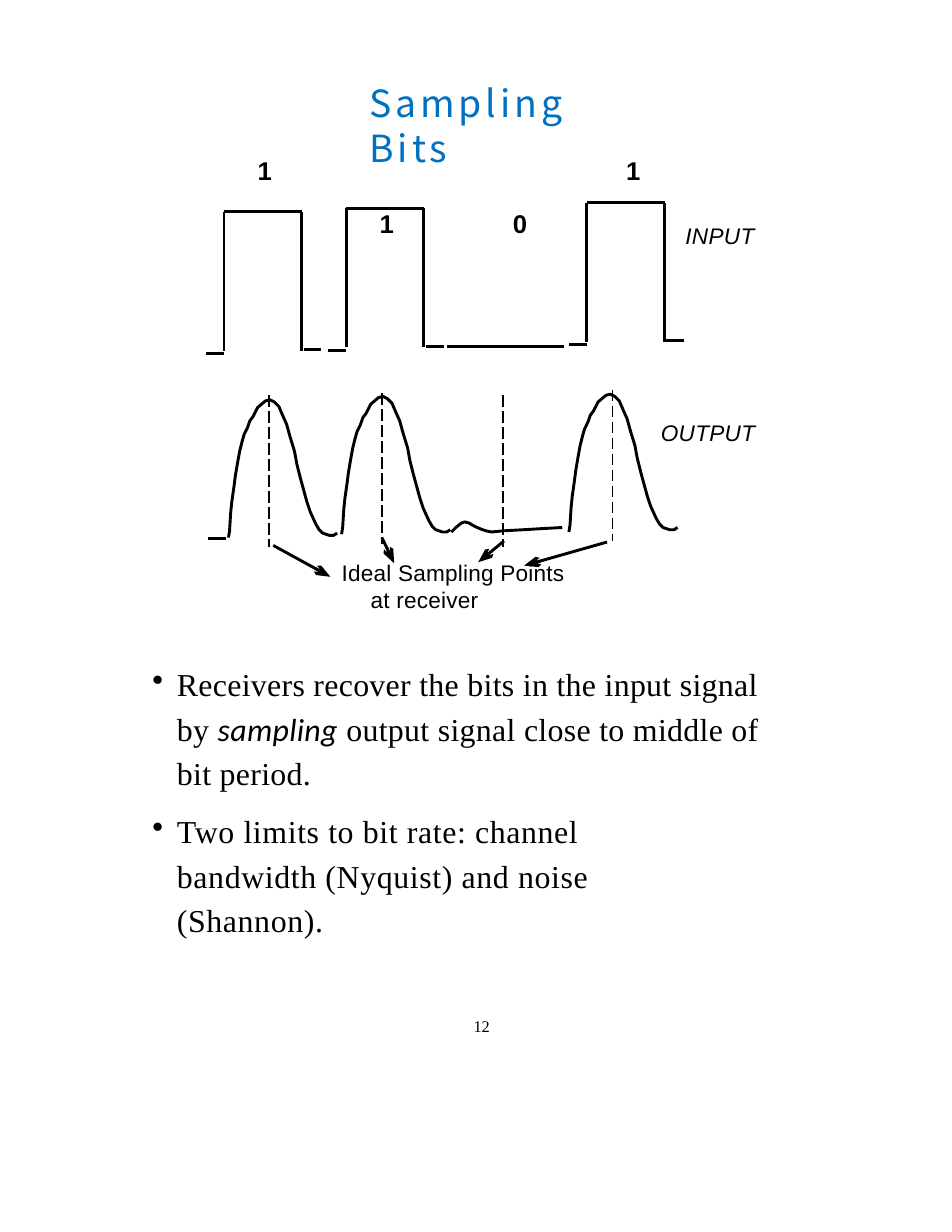
from lxml import etree
from pptx import Presentation
from pptx.dml.color import RGBColor
from pptx.enum.dml import MSO_LINE
from pptx.enum.shapes import MSO_CONNECTOR
from pptx.enum.text import MSO_ANCHOR, MSO_AUTO_SIZE, PP_ALIGN
from pptx.oxml.ns import qn
from pptx.util import Pt

PX = 9144
BLACK = RGBColor(0x00, 0x00, 0x00)
BLUE = RGBColor(0x00, 0x70, 0xC0)
STRAIGHT = MSO_CONNECTOR.STRAIGHT
LONG_DASH = MSO_LINE.LONG_DASH
TOP = MSO_ANCHOR.TOP
LEFT = PP_ALIGN.LEFT
NO_FIT = MSO_AUTO_SIZE.NONE

PULSES = [(200, 189), (309, 186), (524, 181)]
RESPONSES = [(204, 480), (305, 477), (508, 475)]
RESPONSE_CURVE = [
    (0, 0), (1, -6), (2, -22), (3, -32), (5, -46), (6, -54), (8, -66), (10, -77),
    (12, -85), (14, -92), (17, -98), (19, -104), (22, -108), (26, -116), (33, -122),
    (37, -123), (41, -121), (45, -117), (48, -110), (52, -101), (55, -90), (59, -77),
    (61, -66), (64, -54), (67, -43), (70, -32), (73, -23), (78, -12), (81, -7),
    (84, -4), (90, -2), (94, -2), (97, -4),
]
RIPPLE = [
    (403, 475), (407, 471), (412, 467), (415, 466), (419, 467), (422, 469), (426, 471),
    (431, 473), (434, 474), (439, 475), (449, 474), (467, 473), (484, 472), (502, 471),
]
SAMPLE_TIMES = [(240, 353), (341, 351), (449, 353), (547, 348)]
ARROWS = [
    (244, 487, 295, 515), (341, 480, 352, 503),
    (450, 483, 427, 502), (542, 484, 468, 505),
]
BITS = [("1", 230, 138), ("1", 339, 186), ("0", 458, 186), ("1", 559, 138)]
SIGNALS = [("INPUT", 612, 198), ("OUTPUT", 590, 374)]
BULLETS = [
    (["Receivers recover the bits in the input signal by ", "sampling",
      " output signal close to middle of bit period."], 0.2, 0, 0),
    (["Two limits to bit rate: channel bandwidth (Nyquist) and noise (Shannon)."],
     0.4, 8.8, 95),
]


class Sketch:
    """Draws signal diagrams and text on one slide in a shared style."""

    def __init__(self, slide):
        self.slide = slide
        self.shapes = slide.shapes
        self.stroke = Pt(1.86)

    def style(self, span, font, size, spacing=0.0, color=BLACK, bold=False, italic=False):
        span.font.name = font
        span.font.size = Pt(size)
        span.font.color.rgb = color
        span.font.bold = bold
        span.font.italic = italic
        span._r.get_or_add_rPr().set("spc", str(round(spacing * 100)))

    def frame(self, box):
        frame = box.text_frame
        frame.margin_left = frame.margin_right = frame.margin_top = frame.margin_bottom = 0
        frame.word_wrap = True
        frame.auto_size = NO_FIT
        frame.vertical_anchor = TOP
        return frame

    def box(self, left, top, width, height):
        return self.frame(self.shapes.add_textbox(left * PX, top * PX, width * PX, height * PX))

    def title(self, text, left, top, width, height):
        title = self.shapes.title
        title.left, title.top = left * PX, top * PX
        title.width, title.height = width * PX, height * PX
        frame = self.frame(title)
        frame.text = text
        para = frame.paragraphs[0]
        para.alignment = LEFT
        self.style(para.runs[0], "Noto Sans CJK TC", 24, 2.5, BLUE)

    def label(self, text, left, top, width, height, font, size, hanging=0, **look):
        frame = self.box(left, top, width, height)
        para = frame.paragraphs[0]
        para.text = text
        if hanging:
            properties = para._p.get_or_add_pPr()
            properties.set("marL", str(hanging * PX))
            properties.set("indent", str(-hanging * PX))
        for span in para.runs:
            self.style(span, font, size, **look)

    def bullets(self, items, left, top, width, height):
        frame = self.box(left, top, width, height)
        for index, (parts, spacing, before, right_margin) in enumerate(items):
            para = frame.add_paragraph() if index else frame.paragraphs[0]
            properties = para._p.get_or_add_pPr()
            properties.set("marL", str(23 * PX))
            properties.set("marR", str(right_margin * PX))
            properties.set("indent", str(-22 * PX))
            etree.SubElement(properties, qn("a:buChar")).set("char", "•")
            para.line_spacing = Pt(28.6)
            para.space_before = Pt(before)
            for position, text in enumerate(parts):
                span = para.add_run()
                span.text = text
                emphasis = position == 1
                font = "Calibri" if emphasis else "Times New Roman"
                self.style(span, font, 20.5, spacing, italic=emphasis)

    def line(self, x1, y1, x2, y2, dashed=False, arrow=False):
        line = self.shapes.add_connector(STRAIGHT, x1 * PX, y1 * PX, x2 * PX, y2 * PX)
        line.line.color.rgb = BLACK
        line.line.width = Pt(0.93) if dashed else self.stroke
        if dashed:
            line.line.dash_style = LONG_DASH
        properties = line._element.spPr
        if arrow:
            head = etree.SubElement(properties.find(qn("a:ln")), qn("a:tailEnd"))
            head.set("type", "arrow")
            head.set("w", "med")
            head.set("len", "lg")
        etree.SubElement(properties, qn("a:effectLst"))

    def curve(self, points):
        builder = self.shapes.build_freeform(*points[0], scale=PX)
        builder.add_line_segments(points[1:], close=False)
        curve = builder.convert_to_shape()
        curve.shadow.inherit = False
        curve.fill.background()
        curve.line.color.rgb = BLACK
        curve.line.width = self.stroke

    def pulse(self, left, top):
        self.line(left - 16, top + 127, left, top + 127)
        self.line(left, top + 124, left, top)
        self.line(left, top, left + 70, top)
        self.line(left + 69, top + 124, left + 69, top)
        self.line(left + 71, top + 123, left + 87, top + 123)


def main():
    deck = Presentation()
    deck.slide_width, deck.slide_height = 850 * PX, 1100 * PX
    sketch = Sketch(deck.slides.add_slide(deck.slide_layouts[5]))

    sketch.title("Sampling Bits", 330, 72, 244, 90)
    for left, top in PULSES:
        sketch.pulse(left, top)
    sketch.line(399, 309, 504, 309)
    sketch.line(186, 481, 202, 481)
    for left, base in RESPONSES:
        sketch.curve([(left + x, base + y) for x, y in RESPONSE_CURVE])
    sketch.curve(RIPPLE)
    for x, top in SAMPLE_TIMES:
        sketch.line(x, top, x, top + 135, dashed=True)
    for arrow in ARROWS:
        sketch.line(*arrow, arrow=True)

    for text, left, top in BITS:
        sketch.label(text, left, top, 16, 29, "Arial", 16.5, spacing=0.1, bold=True)
    for text, left, top in SIGNALS:
        sketch.label(text, left, top, 95, 26, "Arial", 14.5, spacing=0.2, italic=True)
    sketch.label("Ideal Sampling Points\vat receiver", 305, 499, 220, 50,
                 "Arial", 14.5, hanging=26, spacing=0.15)
    sketch.bullets(BULLETS, 135, 588, 560, 252)
    sketch.label("12", 423, 907, 20, 18, "Times New Roman", 10.5, spacing=-0.1)
    deck.save("out.pptx")


if __name__ == "__main__":
    main()
